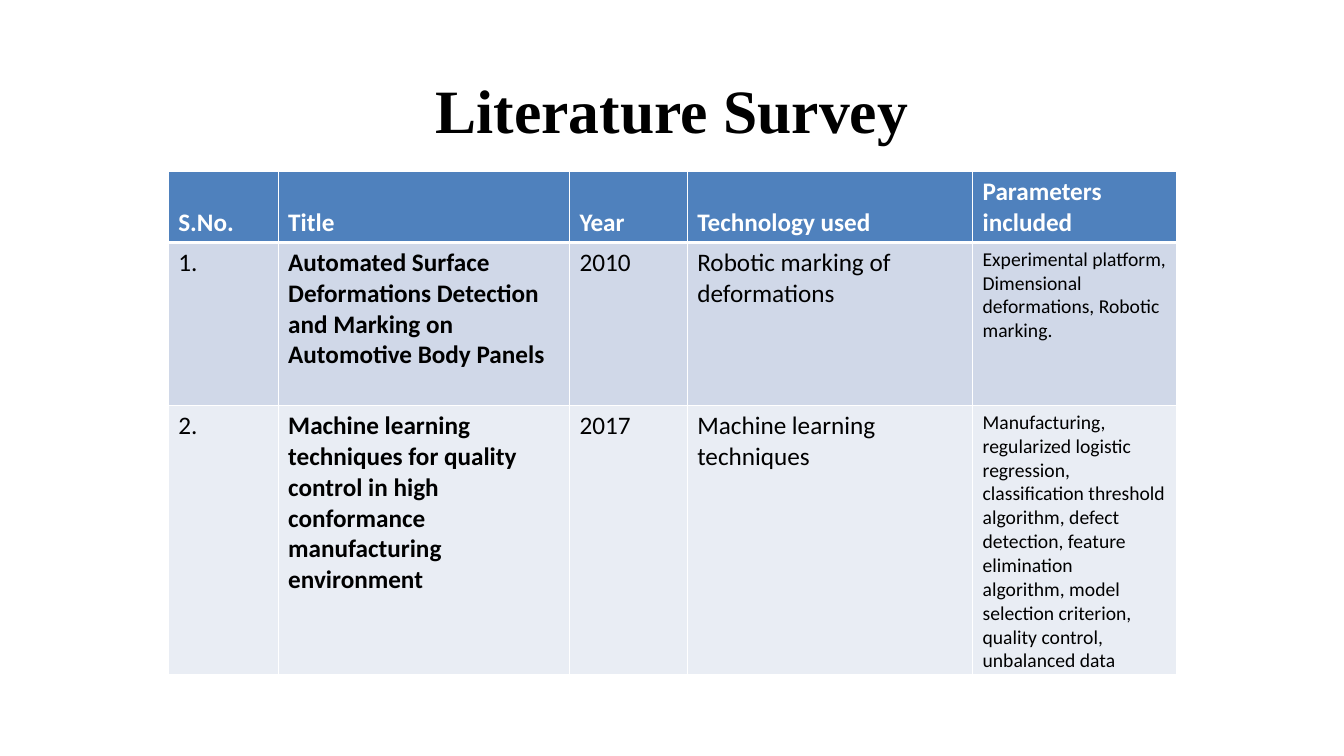
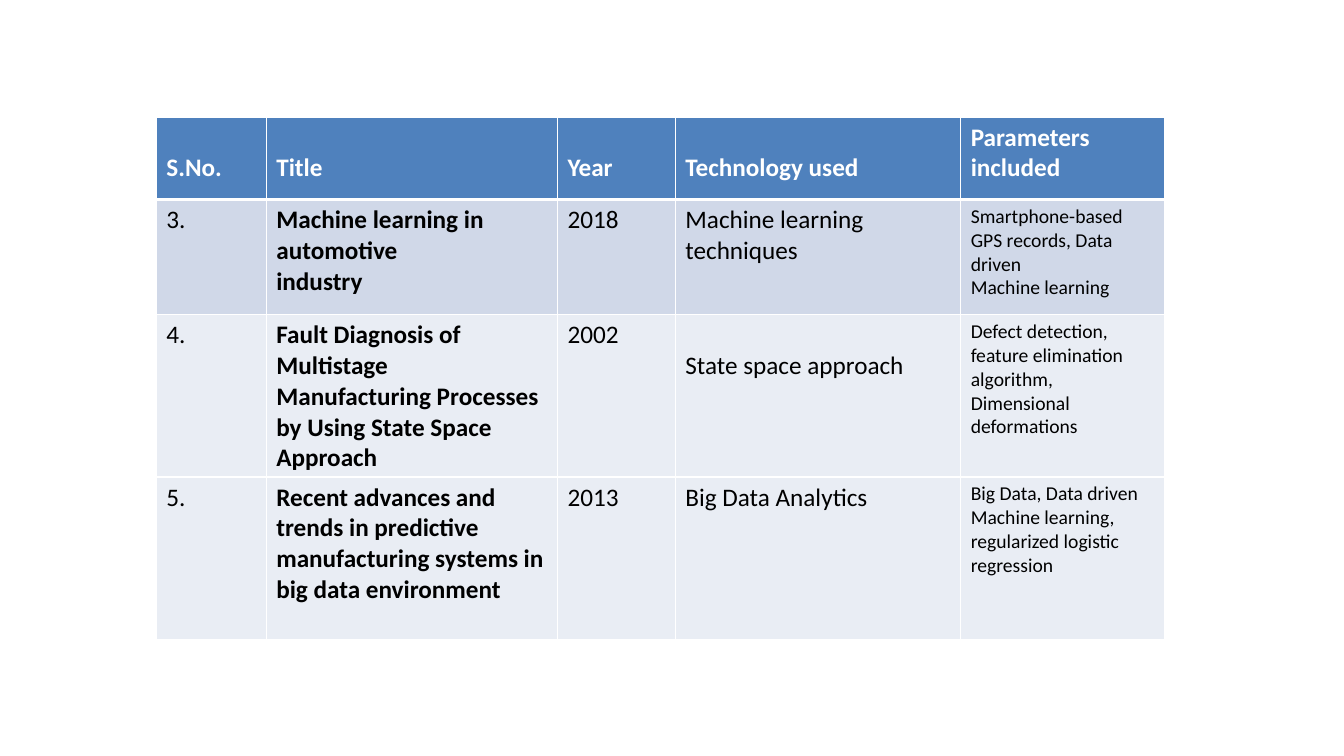
from lxml import etree
from pptx import Presentation
from pptx.dml.color import RGBColor
from pptx.enum.text import MSO_ANCHOR, PP_ALIGN
from pptx.oxml.ns import qn
from pptx.util import Cm, Pt

CENTER = PP_ALIGN.CENTER
MIDDLE = MSO_ANCHOR.MIDDLE

# Shared look
WHITE = RGBColor(0xFF, 0xFF, 0xFF)
BLACK = RGBColor(0, 0, 0)
BLUE = RGBColor(0x4F, 0x81, 0xBD)
BAND = RGBColor(0xD0, 0xD8, 0xE8)
PALE = RGBColor(0xE9, 0xED, 0xF4)
SERIF, SANS = "Times New Roman", "Calibri"
THIN, THICK = Pt(1), Pt(3)
PAD, LINE = 0.13, 0.77  # cell top margin and height of one text line, cm

# Shared table frame
HEADS = ["S.No.", "Title", "Year", "Technology used", "Parameters included"]
WIDTHS = [2.77, 7.34, 2.97, 7.19, 5.13]
BOLD_COL, SMALL_COL = 1, 4
LOWERED = {*HEADS[:4], "State space approach"}  # start on the second line

# Content: a line break starts a new paragraph
FIRST = [
    ["1.", "Automated Surface Deformations Detection\n"
     "and Marking on Automotive Body Panels", "2010",
     "Robotic marking of deformations",
     "Experimental platform, Dimensional deformations, Robotic marking."],
    ["2.", "Machine learning techniques for quality\n"
     "control in high conformance\nmanufacturing environment", "2017",
     "Machine learning techniques",
     "Manufacturing, regularized logistic regression, classification "
     "threshold algorithm, defect detection, feature elimination\n"
     "algorithm, model selection criterion, quality control, "
     "unbalanced data"],
]
SECOND = [
    ["3.", "Machine learning in automotive\nindustry", "2018",
     "Machine learning techniques",
     "Smartphone-based GPS records, Data driven\nMachine learning"],
    ["4.", "Fault Diagnosis of Multistage Manufacturing Processes "
     "by Using State Space Approach", "2002", "State space approach",
     "Defect detection, feature elimination\n"
     "algorithm, Dimensional deformations"],
    ["5.", "Recent advances and trends in predictive manufacturing "
     "systems in big data environment", "2013", "Big Data Analytics",
     "Big Data, Data driven\n"
     "Machine learning, regularized logistic regression"],
]


def set_font(para, name, size, color, bold):
    font = para.font
    font.name, font.size, font.bold = name, Pt(size), bold
    font.color.rgb = color


def add_title(slide, text):
    box = slide.shapes.add_textbox(Cm(2.34), Cm(1.02), Cm(29.2), Cm(3.68))
    frame = box.text_frame
    frame.word_wrap = True
    frame.vertical_anchor = MIDDLE
    para = frame.paragraphs[0]
    para.text = text
    para.alignment = CENTER
    para.line_spacing = 0.9
    set_font(para, SERIF, 44, BLACK, True)


def set_edges(cell, top, bottom):
    props = cell._tc.get_or_add_tcPr()
    edges = {"L": THIN, "R": THIN, "T": top, "B": bottom}
    for side, width in edges.items():
        line = etree.SubElement(props, qn("a:ln" + side), w=str(width))
        fill = etree.SubElement(line, qn("a:solidFill"))
        etree.SubElement(fill, qn("a:srgbClr"), val=str(WHITE))


def fill_cell(cell, text, row, col):
    head = row == 0
    set_edges(cell, THICK if row == 1 else THIN, THICK if head else THIN)
    cell.fill.solid()
    cell.fill.fore_color.rgb = BLUE if head else BAND if row == 1 else PALE
    cell.margin_top = Cm(PAD + LINE * (text in LOWERED))
    cell.text = text
    size = 14 if col == SMALL_COL and not head else 18
    for para in cell.text_frame.paragraphs:
        set_font(para, SANS, size, WHITE if head else BLACK,
                 head or col == BOLD_COL)


def add_survey(slide, left, top, heights, entries):
    rows = [HEADS, *entries]
    shape = slide.shapes.add_table(len(rows), len(HEADS), Cm(left), Cm(top),
                                   Cm(sum(WIDTHS)), Cm(sum(heights)))
    table = shape.table
    for column, width in zip(table.columns, WIDTHS):
        column.width = Cm(width)
    for r, (texts, height) in enumerate(zip(rows, heights)):
        table.rows[r].height = Cm(height)
        for c, text in enumerate(texts):
            fill_cell(table.cell(r, c), text, r, c)


def main():
    deck = Presentation()
    deck.slide_width, deck.slide_height = Cm(33.87), Cm(19.05)
    blank = deck.slide_layouts[6]

    # Slide 1: title and first entries
    slide = deck.slides.add_slide(blank)
    add_title(slide, "Literature Survey")
    add_survey(slide, 4.24, 4.32, [1.63, 4.11, 5.84], FIRST)

    # Slide 2: remaining entries
    slide = deck.slides.add_slide(blank)
    add_survey(slide, 3.94, 2.95, [2.08, 2.9, 4.09, 4.09], SECOND)

    deck.save("out.pptx")


if __name__ == "__main__":
    main()
